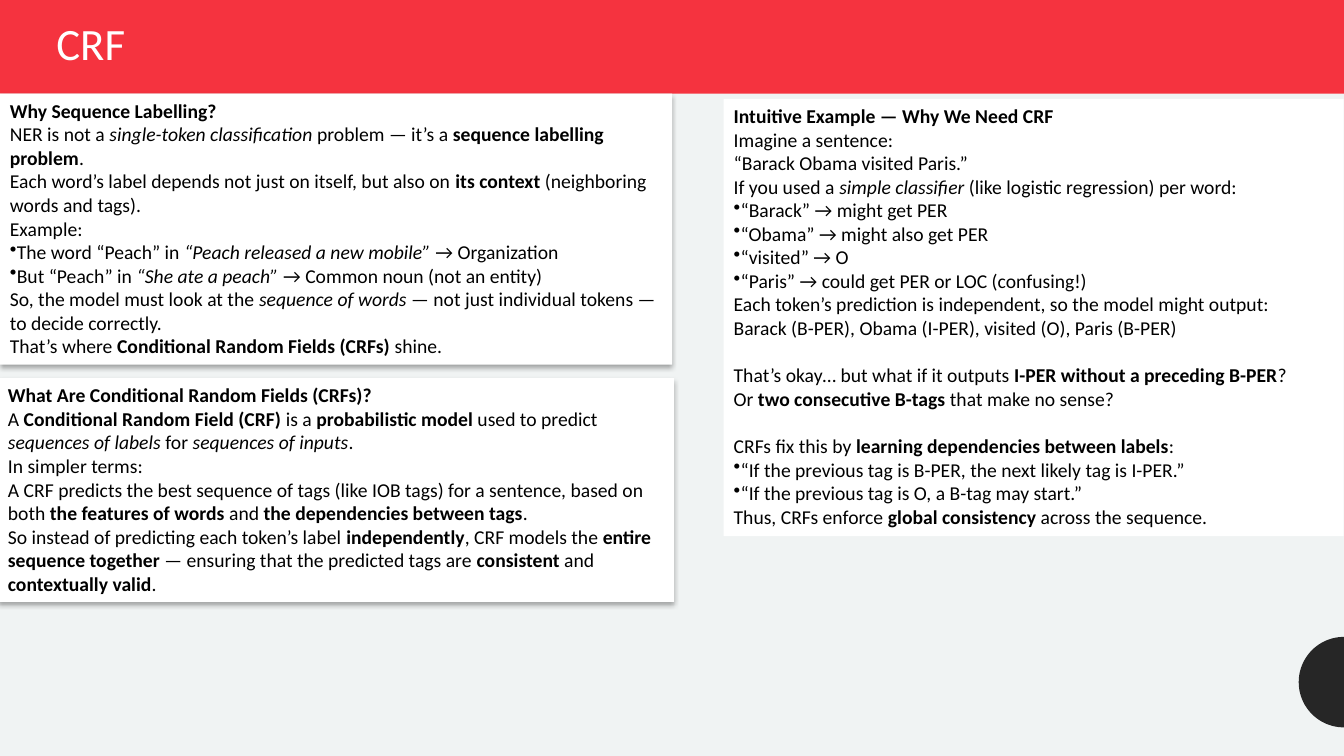
from math import cos, pi, sin

from lxml import etree
from pptx import Presentation
from pptx.dml.color import RGBColor
from pptx.enum.shapes import MSO_SHAPE
from pptx.enum.text import MSO_ANCHOR, MSO_AUTO_SIZE, PP_ALIGN
from pptx.oxml.ns import nsdecls, qn
from pptx.util import Cm, Pt

RECTANGLE = MSO_SHAPE.RECTANGLE
TOP, MIDDLE = MSO_ANCHOR.TOP, MSO_ANCHOR.MIDDLE
GROW = MSO_AUTO_SIZE.SHAPE_TO_FIT_TEXT
LEFT = PP_ALIGN.LEFT

# Content: *bold*, _italic_; each paragraph is (kind, text)
TEXT, BULLET, SPACED = "text", "bullet", "spaced"
TITLE = "CRF"

WHY_LABELLING = [
    (TEXT, "*Why Sequence Labelling?*"),
    (TEXT, "NER is not a _single-token classification_ problem — it’s a "
           "*sequence labelling problem*."),
    (TEXT, "Each word’s label depends not just on itself, but also on "
           "*its context* (neighboring words and tags)."),
    (TEXT, "Example:"),
    (BULLET, "The word “Peach” in _“Peach released a new mobile”_ → Organization"),
    (BULLET, "But “Peach” in _“She ate a peach”_ → Common noun (not an entity)"),
    (TEXT, "So, the model must look at the _sequence of words_ — not just "
           "individual tokens — to decide correctly."),
    (TEXT, "That’s where *Conditional Random Fields (CRFs)* shine."),
]
WHAT_ARE_CRFS = [
    (TEXT, "*What Are Conditional Random Fields (CRFs)?*"),
    (TEXT, "A *Conditional Random Field (CRF)* is a *probabilistic model* used "
           "to predict _sequences of labels_ for _sequences of inputs_."),
    (TEXT, "In simpler terms:"),
    (TEXT, "A CRF predicts the best sequence of tags (like IOB tags) for a "
           "sentence, based on both *the features of words* and "
           "*the dependencies between tags*."),
    (TEXT, "So instead of predicting each token’s label *independently*, CRF "
           "models the *entire sequence together* — ensuring that the predicted "
           "tags are *consistent* and *contextually valid*."),
]
INTUITIVE_EXAMPLE = [
    (TEXT, "*Intuitive Example — Why We Need CRF*"),
    (TEXT, "Imagine a sentence:"),
    (TEXT, "“Barack Obama visited Paris.”"),
    (TEXT, "If you used a _simple classifier_ (like logistic regression) per word:"),
    (BULLET, "“Barack” → might get PER"),
    (BULLET, "“Obama” → might also get PER"),
    (BULLET, "“visited” → O"),
    (BULLET, "“Paris” → could get PER or LOC (confusing!)"),
    (TEXT, "Each token’s prediction is independent, so the model might output:"),
    (TEXT, "Barack (B-PER), Obama (I-PER), visited (O), Paris (B-PER)"),
    (SPACED, "That’s okay… but what if it outputs "
             "*I-PER without a preceding B-PER*?"),
    (TEXT, "Or *two consecutive B-tags* that make no sense?"),
    (SPACED, "CRFs fix this by *learning dependencies between labels*:"),
    (BULLET, "“If the previous tag is B-PER, the next likely tag is I-PER.”"),
    (BULLET, "“If the previous tag is O, a B-tag may start.”"),
    (TEXT, "Thus, CRFs enforce *global consistency* across the sequence."),
]

# Cards: paragraphs, (left, top, width, height) in cm, has a shadow
CARDS = [
    (WHY_LABELLING, (0, 2.36, 16.94, 6.83), True),
    (WHAT_ARE_CRFS, (-0.05, 9.53, 17.04, 5.64), True),
    (INTUITIVE_EXAMPLE, (18.24, 2.49, 15.62, 11.02), False),
]
SLIDE_WIDTH, SLIDE_HEIGHT = 33.87, 19.05
BAND_HEIGHT = 2.36
TITLE_BOX = (1.17, 0.46, 13.84, 1.42)
DISC_CENTRE_Y, DISC_RADIUS, DISC_STEPS = 17.19, 1.14, 48


class Theme:
    font = "Calibri"
    title_size, body_size, gap = Pt(32), Pt(14), Pt(17)
    background = RGBColor.from_string("F0F3F3")
    band = RGBColor.from_string("F5333F")
    disc = RGBColor.from_string("262626")
    white = RGBColor.from_string("FFFFFF")
    black = RGBColor.from_string("000000")


def paint(shape, colour):
    shape.shadow.inherit = False
    shape.fill.solid()
    shape.fill.fore_color.rgb = colour
    shape.line.fill.background()


def add_rectangle(slide, box, colour):
    shape = slide.shapes.add_shape(RECTANGLE, *map(Cm, box))
    paint(shape, colour)
    return shape


def prepare_frame(shape, anchor):
    frame = shape.text_frame
    frame.word_wrap = True
    frame.vertical_anchor = anchor
    frame.margin_left = frame.margin_right = Cm(0.25)
    frame.margin_top = frame.margin_bottom = Cm(0.13)
    return frame


def add_run(paragraph, text, size, colour, bold=False, italic=False):
    run = paragraph.add_run()
    run.text = text
    run.font.name, run.font.size = Theme.font, size
    run.font.bold, run.font.italic = bold, italic
    run.font.color.rgb = colour


def add_marked_text(paragraph, text):
    for bold_index, part in enumerate(text.split("*")):
        for italic_index, piece in enumerate(part.split("_")):
            if piece:
                add_run(paragraph, piece, Theme.body_size, Theme.black,
                        bold_index % 2 == 1, italic_index % 2 == 1)


def add_bullet(paragraph):
    properties = paragraph._p.get_or_add_pPr()
    properties.set("marL", "0")
    properties.set("indent", str(-Cm(0.25)))
    colour = etree.SubElement(properties, qn("a:buClr"))
    etree.SubElement(colour, qn("a:srgbClr"), val=str(Theme.black))
    etree.SubElement(properties, qn("a:buChar"), char="•")


def add_shadow(shape):
    effects = shape._element.spPr.find(qn("a:effectLst"))
    effects.append(etree.fromstring(
        f'<a:outerShdw {nsdecls("a")} blurRad="{Pt(3.5)}" dist="{Pt(2.2)}" '
        f'dir="5400000" algn="t" rotWithShape="0"><a:srgbClr val="{Theme.black}">'
        '<a:alpha val="32000"/></a:srgbClr></a:outerShdw>'))


def add_card(slide, paragraphs, box, has_shadow):
    card = add_rectangle(slide, box, Theme.white)
    if has_shadow:
        add_shadow(card)
    frame = prepare_frame(card, TOP)
    frame.auto_size = GROW
    for index, (kind, text) in enumerate(paragraphs):
        paragraph = frame.add_paragraph() if index else frame.paragraphs[0]
        paragraph.alignment = LEFT
        if kind == BULLET:
            add_bullet(paragraph)
        elif kind == SPACED:
            paragraph.space_before = Theme.gap
        add_marked_text(paragraph, text)


def add_half_disc(slide):
    angles = [pi * step / DISC_STEPS for step in range(DISC_STEPS + 1)]
    points = [(Cm(SLIDE_WIDTH - DISC_RADIUS * sin(angle)),
               Cm(DISC_CENTRE_Y - DISC_RADIUS * cos(angle))) for angle in angles]
    builder = slide.shapes.build_freeform(*points[0])
    builder.add_line_segments(points[1:], close=True)
    paint(builder.convert_to_shape(), Theme.disc)


def main():
    presentation = Presentation()
    presentation.slide_width = Cm(SLIDE_WIDTH)
    presentation.slide_height = Cm(SLIDE_HEIGHT)
    slide = presentation.slides.add_slide(presentation.slide_layouts[6])
    slide.background.fill.solid()
    slide.background.fill.fore_color.rgb = Theme.background

    # Corner half disc and header band
    add_half_disc(slide)
    add_rectangle(slide, (0, 0, SLIDE_WIDTH, BAND_HEIGHT), Theme.band)

    # Title
    title = slide.shapes.add_textbox(*map(Cm, TITLE_BOX))
    heading = prepare_frame(title, MIDDLE).paragraphs[0]
    heading.line_spacing = 0.9
    add_run(heading, TITLE, Theme.title_size, Theme.white)

    # Text cards
    for paragraphs, box, has_shadow in CARDS:
        add_card(slide, paragraphs, box, has_shadow)

    presentation.save("out.pptx")


if __name__ == "__main__":
    main()
